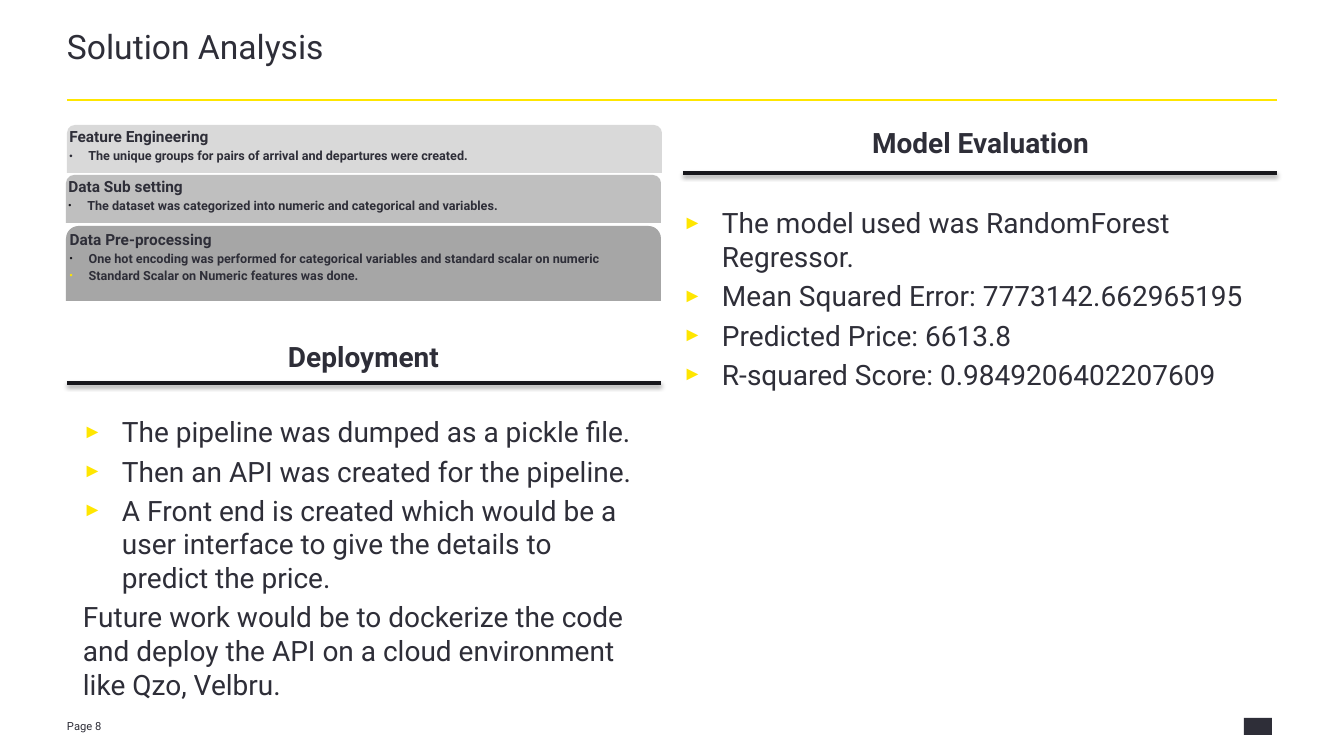
from lxml import etree
from pptx import Presentation
from pptx.dml.color import RGBColor
from pptx.enum.shapes import MSO_CONNECTOR, MSO_SHAPE
from pptx.enum.text import MSO_ANCHOR, MSO_AUTO_SIZE, PP_ALIGN
from pptx.oxml.ns import qn
from pptx.util import Pt

TOP, FIXED = MSO_ANCHOR.TOP, MSO_AUTO_SIZE.NONE
LEFT, CENTER = PP_ALIGN.LEFT, PP_ALIGN.CENTER
LINE = MSO_CONNECTOR.STRAIGHT
TAB, RECT = MSO_SHAPE.ROUND_2_SAME_RECTANGLE, MSO_SHAPE.RECTANGLE
PX = 914400 / 100.8
INK, BLACK, YELLOW = "2E2E38", "17171C", "FFE600"


def color(code):
    return RGBColor.from_string(code)


def write(shape, rows, inset=(0, 0)):
    """Rows hold text, size, bold, alignment, and a bullet or None.

    A bullet is a sign, its colour, its size in percent and its indent in px.
    """
    frame = shape.text_frame
    frame.word_wrap, frame.auto_size = True, FIXED
    frame.vertical_anchor = TOP
    frame.margin_left = frame.margin_right = round(inset[0] * PX)
    frame.margin_top = frame.margin_bottom = round(inset[1] * PX)
    for i, (text, size, bold, align, bullet) in enumerate(rows):
        para = frame.add_paragraph() if i else frame.paragraphs[0]
        if bullet:
            sign, tint, scale, indent = bullet
            props = para._p.get_or_add_pPr()
            props.set("marL", str(round(indent * PX)))
            props.set("indent", str(-round(indent * PX)))
            hue = etree.SubElement(props, qn("a:buClr"))
            etree.SubElement(hue, qn("a:srgbClr"), val=tint)
            etree.SubElement(props, qn("a:buSzPct"), val=str(scale * 1000))
            etree.SubElement(props, qn("a:buFont"), typeface="Arial")
            etree.SubElement(props, qn("a:buChar"), char=sign)
        para.alignment = align
        para.space_before = Pt(size * 0.2 if i else 0)
        run = para.add_run()
        run.text = text
        run.font.name, run.font.size, run.font.bold = "Roboto", Pt(size), bold
        run.font.color.rgb = color(INK)


deck = Presentation()
deck.slide_width, deck.slide_height = round(1344 * PX), round(756 * PX)
slide = deck.slides.add_slide(deck.slide_layouts[5])
shapes = slide.shapes

# Title
title = shapes.title
title.left, title.top, title.width, title.height = [
    round(n * PX) for n in (67, 32, 1210, 66)]
write(title, [("Solution Analysis", 24, False, LEFT, None)])
title.text_frame.paragraphs[0].line_spacing = 0.85

# Rules: the yellow one is flat, the section ones cast a shadow
for left, y, right, tint, weight, shade in [
    (67, 100, 1277, YELLOW, 1.5, False),
    (683, 173, 1277, BLACK, 3, True),
    (67, 383, 661, BLACK, 3, True),
]:
    rule = shapes.add_connector(
        LINE, *[round(n * PX) for n in (left, y, right, y)])
    rule.line.color.rgb, rule.line.width = color(tint), Pt(weight)
    effects = etree.SubElement(rule._element.spPr, qn("a:effectLst"))
    if shade:
        cast = etree.SubElement(
            effects, qn("a:outerShdw"), blurRad=str(Pt(3.1)),
            dist=str(Pt(1.8)), dir="5400000", rotWithShape="0")
        black = etree.SubElement(cast, qn("a:srgbClr"), val="000000")
        etree.SubElement(black, qn("a:alpha"), val="35000")

# Data preparation cards
for left, top, height, fill, head, points in [
    (67, 125, 48, "D9D9D9", "Feature Engineering", [
        ("The unique groups for pairs of arrival and departures were created.",
         INK, 75)]),
    (66, 175, 48, "BFBFBF", "Data Sub setting", [
        ("The dataset was categorized into numeric and categorical and "
         "variables.", BLACK, 70)]),
    (66, 226, 75, "A6A6A6", "Data Pre-processing", [
        ("One hot encoding was performed for categorical variables and "
         "standard scalar on numeric", BLACK, 70),
        ("Standard Scalar on Numeric features was done.", YELLOW, 70)]),
]:
    card = shapes.add_shape(
        TAB, *[round(n * PX) for n in (left, top, 595, height)])
    card.shadow.inherit = False
    card.fill.solid()
    card.fill.fore_color.rgb = color(fill)
    card.line.fill.background()
    write(card, [(head, 11, True, LEFT, None)] + [
        (text, 9, True, LEFT, ("•", tint, scale, 19))
        for text, tint, scale in points])

# Section heads, lists and page number
arrow = ("►", YELLOW, 70, 39)
for box, inset, rows in [
    ((683, 125, 595, 36), (0, 0),
     [("Model Evaluation", 20, True, CENTER, None)]),
    ((66, 340, 595, 36), (0, 0),
     [("Deployment", 20, True, CENTER, None)]),
    ((683, 206, 561, 304), (0, 0), [
        (text, 20, False, LEFT, arrow) for text in (
            "The model used was RandomForest Regressor.",
            "Mean Squared Error: 7773142.662965195",
            "Predicted Price: 6613.8",
            "R-squared Score: 0.9849206402207609")]),
    ((83, 415, 561, 304), (0, 0), [
        (text, 20, False, LEFT, mark) for text, mark in (
            ("The pipeline was dumped as a pickle file.", arrow),
            ("Then an API was created for the pipeline.", arrow),
            ("A Front end is created which would be a user interface to give "
             "the details to predict the price.", arrow),
            ("Future work would be to dockerize the code and deploy the API "
             "on a cloud environment like Qzo, Velbru.", None))]),
    ((67, 714, 73, 20), (0, 5), [("Page 8", 8, False, LEFT, None)]),
]:
    area = shapes.add_textbox(*[round(n * PX) for n in box])
    write(area, rows, inset)

# Plain corner mark
mark = shapes.add_shape(RECT, *[round(n * PX) for n in (1244, 718, 28, 17)])
mark.shadow.inherit = False
mark.fill.solid()
mark.fill.fore_color.rgb = color(INK)
mark.line.fill.background()

deck.save("out.pptx")
